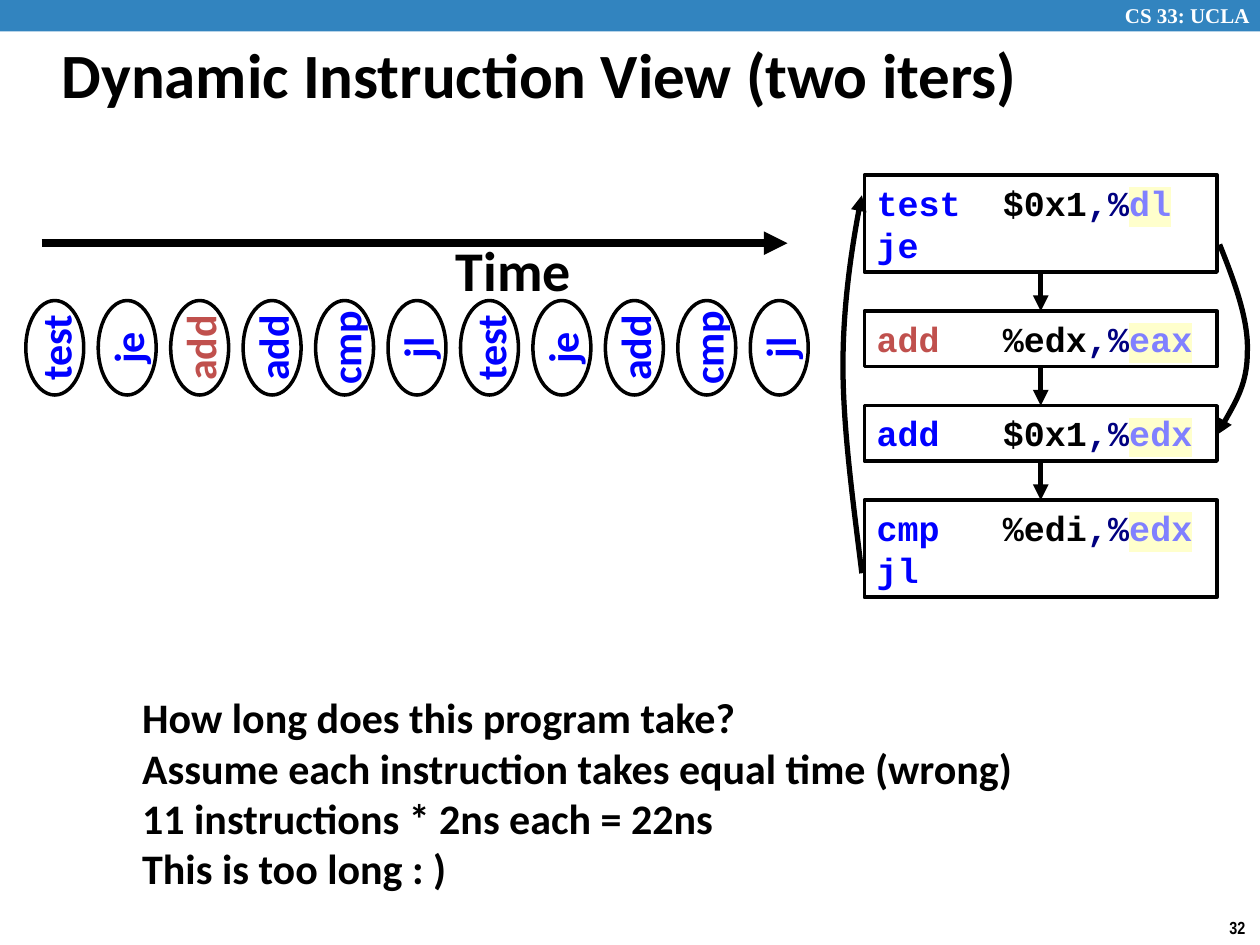
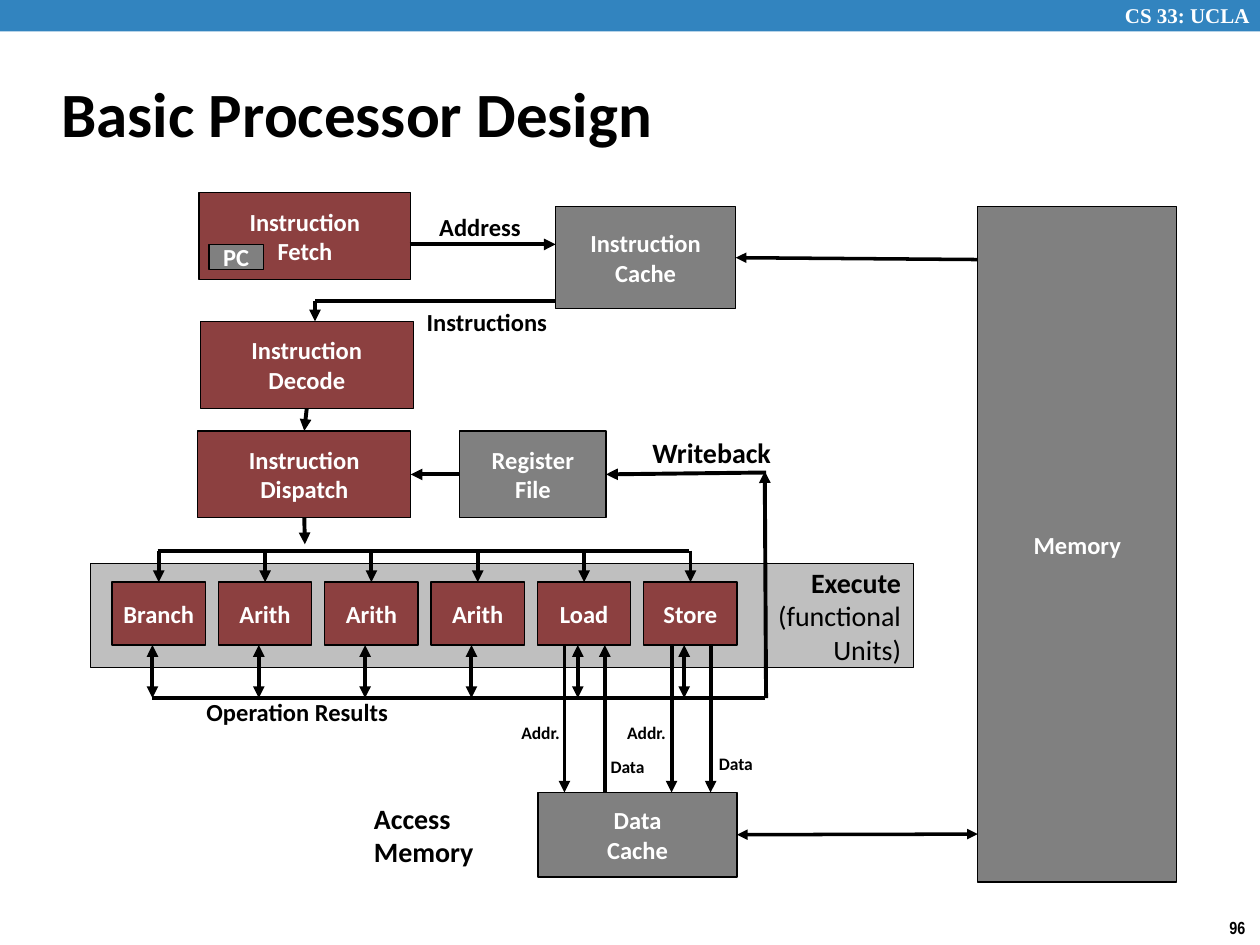
import pptx
import pptx.util
import pptx.dml.color
import pptx.enum.shapes
import pptx.enum.text
import pptx.oxml
import pptx.oxml.ns

Inches, Pt = pptx.util.Inches, pptx.util.Pt
SHAPE = pptx.enum.shapes.MSO_SHAPE
ALIGN = pptx.enum.text.PP_ALIGN
ANCHOR = pptx.enum.text.MSO_ANCHOR
RGB = pptx.dml.color.RGBColor.from_string
qn = pptx.oxml.ns.qn
TOP, LEFT, BOTTOM, RIGHT = range(4)


class Theme:
    black, white, band = "000000", "FFFFFF", "3284BF"
    unit, storage, panel = "8C4040", "808080", "BFBFBF"
    opcode, skipped = "0000FF", "C0504D"
    punctuation, register, marker = "000080", "8080FF", "FFFFCC"
    body, code, header, number = "Calibri", "Courier New", "Times New Roman", "Arial Narrow"
    title_pt, time_pt, text_pt, code_pt = 36, 32, 24, 20
    note_pt, label_pt, header_pt, small_pt = 16, 14, 12, 10


def box(sl, x, y, w, h, text="", size=Theme.label_pt, color=Theme.black, fill=None,
        weight=0.75, kind=SHAPE.RECTANGLE, align=None, wrap=False, font=Theme.body):
    """Add a text box, or a filled and outlined shape when a fill is given."""
    at = [Inches(v) for v in (x, y, w, h)]
    if fill:
        sp = sl.shapes.add_shape(kind, *at)
        sp.shadow.inherit = False
        sp.fill.solid()
        sp.fill.fore_color.rgb = RGB(fill)
        if weight:
            sp.line.color.rgb = RGB(Theme.black)
            sp.line.width = Pt(weight)
        else:
            sp.line.fill.background()
    else:
        sp = sl.shapes.add_textbox(*at)
    tf = sp.text_frame
    tf.word_wrap = wrap
    tf.vertical_anchor = ANCHOR.MIDDLE if fill else ANCHOR.TOP
    tf.text = text
    for p in tf.paragraphs:
        p.alignment = align or (ALIGN.CENTER if fill else ALIGN.LEFT)
        for r in p.runs:
            r.font.name, r.font.size, r.font.bold = font, Pt(size), True
            r.font.color.rgb = RGB(color)
    return sp


def line(sl, x1, y1, x2, y2, weight=2.25, ends=("tail",), begin=None, end=None):
    """Add a straight line; begin and end are (shape, side) joints."""
    c = sl.shapes.add_connector(pptx.enum.shapes.MSO_CONNECTOR.STRAIGHT,
                                Inches(x1), Inches(y1), Inches(x2), Inches(y2))
    if begin:
        c.begin_connect(*begin)
    if end:
        c.end_connect(*end)
    c.line.color.rgb = RGB(Theme.black)
    c.line.width = Pt(weight)
    ln = c.line._get_or_add_ln()
    for name in ends:
        pptx.oxml.ns  # arrowheads follow the line fill
        ln.append(ln.makeelement(qn(f"a:{name}End"), {"type": "triangle"}))
    c._element.spPr.append(ln.makeelement(qn("a:effectLst"), {}))
    return c


prs = pptx.Presentation()
prs.slide_width, prs.slide_height = Inches(10), Inches(7.5)

# Shared frame: band, course name, slide number, title
slides = []
for title, number, y, h in [("Dynamic Instruction View (two iters)", "32", 0.26, 0.65),
                            ("Basic Processor Design", "96", 0.48, 0.83)]:
    sl = prs.slides.add_slide(prs.slide_layouts[6])
    box(sl, 0, 0, 10, 0.25, fill=Theme.band, weight=0)
    box(sl, 8.83, -0.03, 1.24, 0.3, "CS 33: UCLA", Theme.header_pt, Theme.white,
        wrap=True, font=Theme.header)
    box(sl, 9.66, 7.23, 0.34, 0.27, number, Theme.small_pt, font=Theme.number)
    sp = box(sl, 0.39, y, 8.3, h, title, Theme.title_pt, wrap=True)
    sp.text_frame.vertical_anchor = ANCHOR.MIDDLE
    slides.append(sl)
view, design = slides

# Instruction stream along the time axis
stream = "test je add add cmp jl test je add cmp jl".split()
pitch = (5.81 - 0.06) / (len(stream) - 1)
for i, op in enumerate(stream):
    sp = box(view, 0.06 + i * pitch, 2.53, 0.75, 0.46, op, Theme.text_pt,
             Theme.skipped if i == 2 else Theme.opcode, Theme.white, 2, SHAPE.OVAL)
    sp.rotation = 270
line(view, 0.33, 1.93, 6.25, 1.93, 4.5)
box(view, 3.52, 1.82, 1.13, 0.64, "Time", Theme.time_pt)

# Questions
box(view, 1.03, 5.44, 7.25, 1.72,
    "How long does this program take?\n"
    "Assume each instruction takes equal time (wrong)\n"
    "11 instructions * 2ns each = 22ns\n"
    "This is too long : )", Theme.text_pt, wrap=True)

# Code blocks, each joined to the one above
blocks = [("test", "  $0x1", "dl", "je", Theme.opcode),
          ("add", "   %edx", "eax", None, Theme.skipped),
          ("add", "   $0x1", "edx", None, Theme.opcode),
          ("cmp", "   %edi", "edx", "jl", Theme.opcode)]
y, above = 1.39, None
for op, operand, register, jump, color in blocks:
    h = 0.77 if jump else 0.44
    sp = box(view, 6.86, y, 2.8, h, fill=Theme.white, weight=2, wrap=True)
    tf = sp.text_frame
    tf.vertical_anchor = ANCHOR.TOP
    rows = [[(op, color), (operand, Theme.black), (",%", Theme.punctuation),
             (register, Theme.register)]]
    if jump:
        rows.append([(jump, Theme.opcode)])
    for i, row in enumerate(rows):
        p = tf.add_paragraph() if i else tf.paragraphs[0]
        p.alignment = ALIGN.LEFT
        for text, ink in row:
            r = p.add_run()
            r.text = text
            r.font.name, r.font.size, r.font.bold = Theme.code, Pt(Theme.code_pt), True
            r.font.color.rgb = RGB(ink)
            if ink == Theme.register:
                rPr = r.font._element
                mark = rPr.makeelement(qn("a:highlight"), {})
                mark.append(mark.makeelement(qn("a:srgbClr"), {"val": Theme.marker}))
                rPr.find(qn("a:solidFill")).addnext(mark)
    if above is not None:
        line(view, 8.26, y - 0.31, 8.26, y, 3, begin=(above, BOTTOM), end=(sp, TOP))
    y, above = y + h + 0.31, sp

# Jump arrows: a start point, then two Bézier segments of three points
jumps = [[(9.68, 1.94), (9.8, 2.24), (9.91, 2.54), (9.9, 2.79),
          (9.9, 3.04), (9.78, 3.24), (9.66, 3.45)],
         [(6.84, 4.55), (6.77, 3.98), (6.69, 3.4), (6.69, 2.9),
          (6.69, 2.4), (6.79, 1.78), (6.84, 1.55)]]
for points in jumps:
    pts = [(Inches(px), Inches(py)) for px, py in points]
    fb = view.shapes.build_freeform(*pts[0])
    fb.add_line_segments(pts[1:], close=False)
    sp = fb.convert_to_shape()
    sp.shadow.inherit = False
    sp.fill.background()
    sp.line.color.rgb = RGB(Theme.black)
    sp.line.width = Pt(3)
    ln = sp.line._get_or_add_ln()
    ln.append(ln.makeelement(qn("a:tailEnd"), {"type": "triangle"}))
    outline = sp._element.find(".//" + qn("a:path"))
    segments = outline.findall(qn("a:lnTo"))
    for i in range(0, len(segments), 3):
        curve = outline.makeelement(qn("a:cubicBezTo"), {})
        for seg in segments[i:i + 3]:
            curve.append(seg[0])
            outline.remove(seg)
        outline.append(curve)

# Processor stages and storage
stages = {}
for name, x, y, w, h, fill in [
        ("Instruction\nFetch", 1.58, 1.53, 1.68, 0.69, Theme.unit),
        ("Instruction\nDecode", 1.59, 2.55, 1.69, 0.69, Theme.unit),
        ("Instruction\nDispatch", 1.57, 3.42, 1.69, 0.69, Theme.unit),
        ("Instruction\nCache", 4.41, 1.64, 1.43, 0.81, Theme.storage),
        ("Register\nFile", 3.65, 3.42, 1.16, 0.69, Theme.storage),
        ("Data\nCache", 4.27, 6.29, 1.58, 0.67, Theme.storage),
        ("Memory", 7.76, 1.64, 1.58, 5.36, Theme.storage),
        ("PC", 1.66, 1.94, 0.43, 0.2, Theme.storage)]:
    stages[name.split("\n")[-1] if name != "Data\nCache" else "Data"] = box(
        design, x, y, w, h, name, color=Theme.white, fill=fill)

# Execute panel
sp = box(design, 0.72, 4.47, 6.53, 0.83, "Execute\n(functional\nUnits)", Theme.note_pt,
         fill=Theme.panel, align=ALIGN.RIGHT, wrap=True)
for p in sp.text_frame.paragraphs[1:]:
    p.runs[0].font.bold = False

# Functional units with issue arrows above and result arrows below
units = ["Branch", "Arith", "Arith", "Arith", "Load", "Store"]
pitch = (5.11 - 0.89) / (len(units) - 1)
for i, name in enumerate(units):
    x = 0.89 + i * pitch
    sp = box(design, x, 4.62, 0.74, 0.5, name, color=Theme.white, fill=Theme.unit)
    line(design, x + 0.37, 4.37, x + 0.37, 4.62, end=(sp, TOP))
    line(design, x + 0.32, 5.12, x + 0.32, 5.54, ends=("head", "tail"))
line(design, 1.25, 4.37, 5.47, 4.37, ends=())
line(design, 1.21, 5.54, 6.07, 5.54, ends=())

# Fetch and decode path
line(design, 3.25, 1.94, 4.41, 1.94)
line(design, 4.41, 2.39, 2.5, 2.39, ends=())
line(design, 2.5, 2.39, 2.5, 2.55)
line(design, 2.42, 3.24, 2.42, 3.42,
     begin=(stages["Decode"], BOTTOM), end=(stages["Dispatch"], TOP))
line(design, 2.42, 4.11, 2.42, 4.32, begin=(stages["Dispatch"], BOTTOM))
line(design, 3.65, 3.76, 3.26, 3.76,
     begin=(stages["File"], LEFT), end=(stages["Dispatch"], RIGHT))

# Writeback path
line(design, 6.08, 5.54, 6.07, 3.74)
line(design, 6.08, 3.75, 4.81, 3.75, end=(stages["File"], RIGHT))

# Memory traffic
for x, y1, y2 in [(4.48, 5.12, 6.29), (4.8, 6.29, 5.12), (5.33, 5.12, 6.29), (5.64, 5.12, 6.29)]:
    line(design, x, y1, x, y2)
line(design, 7.76, 2.06, 5.84, 2.05, 2, end=(stages["Cache"], RIGHT))
line(design, 7.76, 6.62, 5.85, 6.62, 2, ("head", "tail"), end=(stages["Data"], RIGHT))

# Labels
for text, x, y, w, h, size in [
        ("Address", 3.38, 1.63, 0.86, 0.34, Theme.label_pt),
        ("Instructions", 3.28, 2.39, 1.17, 0.34, Theme.label_pt),
        ("Operation Results", 1.53, 5.48, 1.66, 0.34, Theme.label_pt),
        ("Addr.", 4.03, 5.68, 0.52, 0.27, Theme.small_pt),
        ("Addr.", 4.87, 5.68, 0.52, 0.27, Theme.small_pt),
        ("Data", 4.74, 5.95, 0.48, 0.27, Theme.small_pt),
        ("Data", 5.6, 5.93, 0.48, 0.27, Theme.small_pt)]:
    box(design, x, y, w, h, text, size, align=ALIGN.CENTER)
box(design, 2.87, 6.31, 1.4, 0.64, "Access Memory", Theme.note_pt, wrap=True)
box(design, 5.08, 3.41, 1.4, 0.37, "Writeback", Theme.note_pt, wrap=True)

prs.save("out.pptx")
